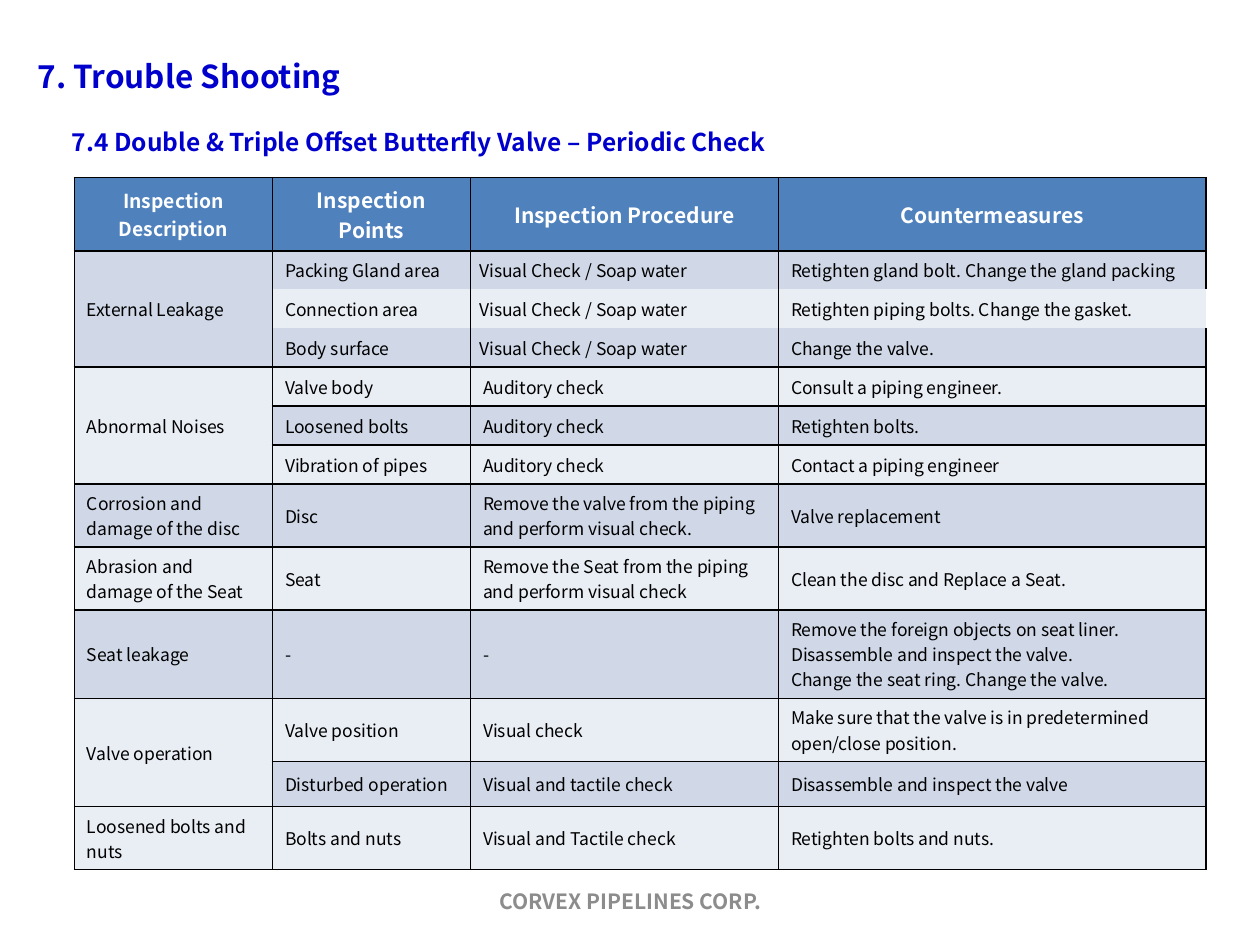
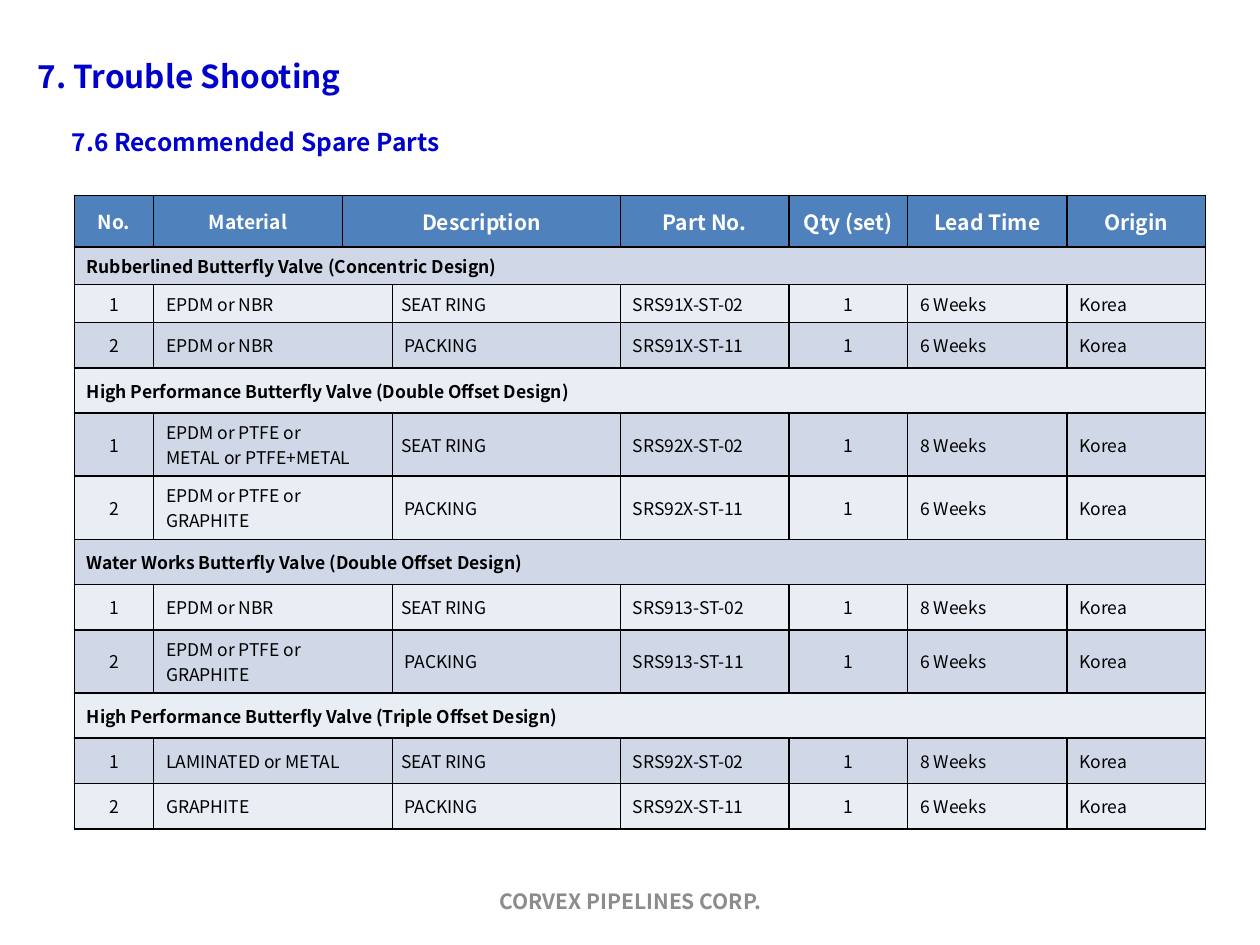
from lxml import etree
from pptx import Presentation
from pptx import util as u
from pptx.dml.color import RGBColor
from pptx.enum import text
from pptx.oxml.ns import qn

FONT = "Noto Sans CJK KR"
BLUE, OUTLINE, GREY = "0000CC", "054697", "8C8C8C"
HEAD_FILL, BANDS = "4F81BD", ("D0D8E8", "E9EDF4")
BLACK, WHITE = "000000", "FFFFFF"
UP, LEFT = "^", "<"  # the cell belongs to the one above, or to its left

TITLE = "7. Trouble Shooting"
FOOTER = "CORVEX PIPELINES CORP."
TITLE_AT = (14.4, 20.9, 521.3, 45.4)
SUBTITLE_AT = (33.8, 58.3, 485.3, 45.4)
FOOTER_AT = (246.2, 500.4, 228.2, 28.8)
TABLE_LEFT = 42.5

SOAP = "Visual Check / Soap water"
CHECKS = [
    ["Inspection\nDescription", "Inspection Points", "Inspection Procedure", "Countermeasures"],
    ["External Leakage", "Packing Gland area", SOAP,
     "Retighten gland bolt. Change the gland packing"],
    [UP, "Connection area", SOAP, "Retighten piping bolts. Change the gasket."],
    [UP, "Body surface", SOAP, "Change the valve."],
    ["Abnormal Noises", "Valve body", "Auditory check", "Consult a piping engineer."],
    [UP, "Loosened bolts", "Auditory check", "Retighten bolts."],
    [UP, "Vibration of pipes", "Auditory check", "Contact a piping engineer"],
    ["Corrosion and\ndamage of the disc", "Disc",
     "Remove the valve from the piping and perform visual check.", "Valve replacement"],
    ["Abrasion and\ndamage of the Seat", "Seat",
     "Remove the Seat from the piping and perform visual check",
     "Clean the disc and Replace a Seat."],
    ["Seat leakage", "-", "-",
     "Remove the foreign objects on seat liner.\nDisassemble and inspect the valve.\n"
     "Change the seat ring. Change the valve."],
    ["Valve operation", "Valve position", "Visual check",
     "Make sure that the valve is in predetermined open/close position."],
    [UP, "Disturbed operation", "Visual and tactile check", "Disassemble and inspect the valve"],
    ["Loosened bolts and nuts", "Bolts and nuts", "Visual and Tactile check",
     "Retighten bolts and nuts."],
]
# Edges left open inside the "External Leakage" group: (row, column) -> edges drawn
OPEN_EDGES = {(row, column): edges
              for row, edges in ((1, "LRT"), (2, "LR"), (3, "LRB"))
              for column in (1, 2, 3)}
OPEN_EDGES[2, 3] = "L"

# Valve type, series, then material and lead time of the seat ring and of the packing
SPARE_PARTS = [
    ("Rubberlined Butterfly Valve (Concentric Design)", "SRS91X",
     ("EPDM or NBR", 6), ("EPDM or NBR", 6)),
    ("High Performance Butterfly Valve (Double Offset Design)", "SRS92X",
     ("EPDM or PTFE or\nMETAL or PTFE+METAL", 8), ("EPDM or PTFE or GRAPHITE", 6)),
    ("Water Works Butterfly Valve (Double Offset Design)", "SRS913",
     ("EPDM or NBR", 8), ("EPDM or PTFE or GRAPHITE", 6)),
    ("High Performance Butterfly Valve (Triple Offset Design)", "SRS92X",
     ("LAMINATED or METAL", 8), ("GRAPHITE", 6)),
]
PART_KINDS = [("SEAT RING", "02"), ("PACKING", "11")]
TIGHT_CELLS = {SOAP, "SEAT RING"}


def spare_part_rows():
    rows = [["No.", "Material", "Description", LEFT, "Part No.", "Qty (set)",
             "Lead Time", "Origin"]]
    for valve, series, *parts in SPARE_PARTS:
        rows.append([valve] + [LEFT] * 7)
        for number, ((material, weeks), (kind, code)) in enumerate(zip(parts, PART_KINDS), 1):
            rows.append([str(number), material, LEFT, kind, f"{series}-ST-{code}", "1",
                         f"{weeks} Weeks", "Korea"])
    return rows


SLIDES = [
    dict(subtitle="7.4 Double & Triple Offset Butterfly Valve – Periodic Check",
         rows=CHECKS, top=101.5, widths=[113.2, 113.2, 176, 244.2],
         heights=[29.5, 21.6] + [22.3] * 5 + [29.5] * 2 + [25.9] * 4,
         small_heads=1, open_edges=OPEN_EDGES),
    dict(subtitle="7.6 Recommended Spare Parts",
         rows=spare_part_rows(), top=111.6,
         widths=[45.3, 108, 28.4, 130.3, 96.4, 67.9, 90.9, 79.4],
         heights=[29.5] + [21.6] * 2 + [25.9] * 10,
         small_heads=2, centred=(0, 5)),
]


def color(value):
    return RGBColor.from_string(value)


def add_line(parent, tag, position, value):
    """Insert a 1 pt line element; without a colour the line is not drawn."""
    line = etree.Element(qn(tag), w=str(u.Pt(1)))
    if value:
        fill = etree.SubElement(line, qn("a:solidFill"))
        etree.SubElement(fill, qn("a:srgbClr"), val=value)
    else:
        etree.SubElement(line, qn("a:noFill"))
    parent.insert(position, line)


def write(frame, words, size=10, ink=BLACK, bold=False, centred=False, outline=None):
    for index, line in enumerate(words.split("\n")):
        para = frame.add_paragraph() if index else frame.paragraphs[0]
        para.alignment = text.PP_ALIGN.CENTER if centred else text.PP_ALIGN.LEFT
        para.space_before = u.Pt(0)
        span = para.add_run()
        span.text = line
        span.font.name, span.font.size, span.font.bold = FONT, u.Pt(size), bold
        span.font.color.rgb = color(ink)
        if outline:
            add_line(span.font._element, "a:ln", 0, outline)


def fill_box(box, place, words, **style):
    box.left, box.top, box.width, box.height = map(u.Pt, place)
    frame = box.text_frame
    frame.word_wrap = True
    frame.auto_size = text.MSO_AUTO_SIZE.NONE
    frame.vertical_anchor = text.MSO_ANCHOR.MIDDLE
    write(frame, words, **style)


def merge_marked(table, rows):
    for r, row in enumerate(rows):
        for c, words in enumerate(row):
            if words in (UP, LEFT):
                continue
            bottom, right = r, c
            while bottom + 1 < len(rows) and rows[bottom + 1][c] == UP:
                bottom += 1
            while right + 1 < len(row) and row[right + 1] == LEFT:
                right += 1
            if (bottom, right) != (r, c):
                table.cell(r, c).merge(table.cell(bottom, right))


def add_grid(page, rows, top, widths, heights, small_heads, centred=(), open_edges={}):
    table = page.shapes.add_table(len(rows), len(widths), u.Pt(TABLE_LEFT), u.Pt(top),
                                  u.Pt(sum(widths)), u.Pt(sum(heights))).table
    table.first_row = table.horz_banding = False
    for column, width in zip(table.columns, widths):
        column.width = u.Pt(width)
    for line, height in zip(table.rows, heights):
        line.height = u.Pt(height)
    merge_marked(table, rows)

    for r, row in enumerate(rows):
        is_section = row[1] == LEFT
        for c, words in enumerate(row):
            cell = table.cell(r, c)
            cell.vertical_anchor = text.MSO_ANCHOR.MIDDLE
            cell.fill.solid()
            cell.fill.fore_color.rgb = color(BANDS[(r - 1) % 2] if r else HEAD_FILL)
            drawn = open_edges.get((r, c), "LRTB")
            for position, edge in enumerate("LRTB"):
                add_line(cell._tc.get_or_add_tcPr(), f"a:ln{edge}", position,
                         BLACK if edge in drawn else None)
            if words in (UP, LEFT):
                continue
            if words in TIGHT_CELLS:
                cell.margin_left = cell.margin_right = u.Pt(5)
                cell.margin_top = cell.margin_bottom = 0
            if r == 0:
                write(cell.text_frame, words, size=11 if c < small_heads else 12,
                      ink=WHITE, bold=True, centred=True)
            else:
                write(cell.text_frame, words, bold=is_section,
                      centred=c in centred and not is_section)


def add_page(deck, subtitle, **grid):
    page = deck.slides.add_slide(deck.slide_layouts[0])
    heading = dict(ink=BLUE, bold=True, outline=OUTLINE)
    fill_box(page.shapes.title, TITLE_AT, TITLE, size=18, **heading)
    fill_box(page.placeholders[1], SUBTITLE_AT, subtitle, size=14, **heading)
    footer = page.shapes.add_textbox(0, 0, 0, 0)
    fill_box(footer, FOOTER_AT, FOOTER, size=12, ink=GREY, bold=True, centred=True)
    add_grid(page, **grid)


def main():
    deck = Presentation()
    deck.slide_width, deck.slide_height = u.Pt(720), u.Pt(540)
    for content in SLIDES:
        add_page(deck, **content)
    deck.save("out.pptx")


if __name__ == "__main__":
    main()
